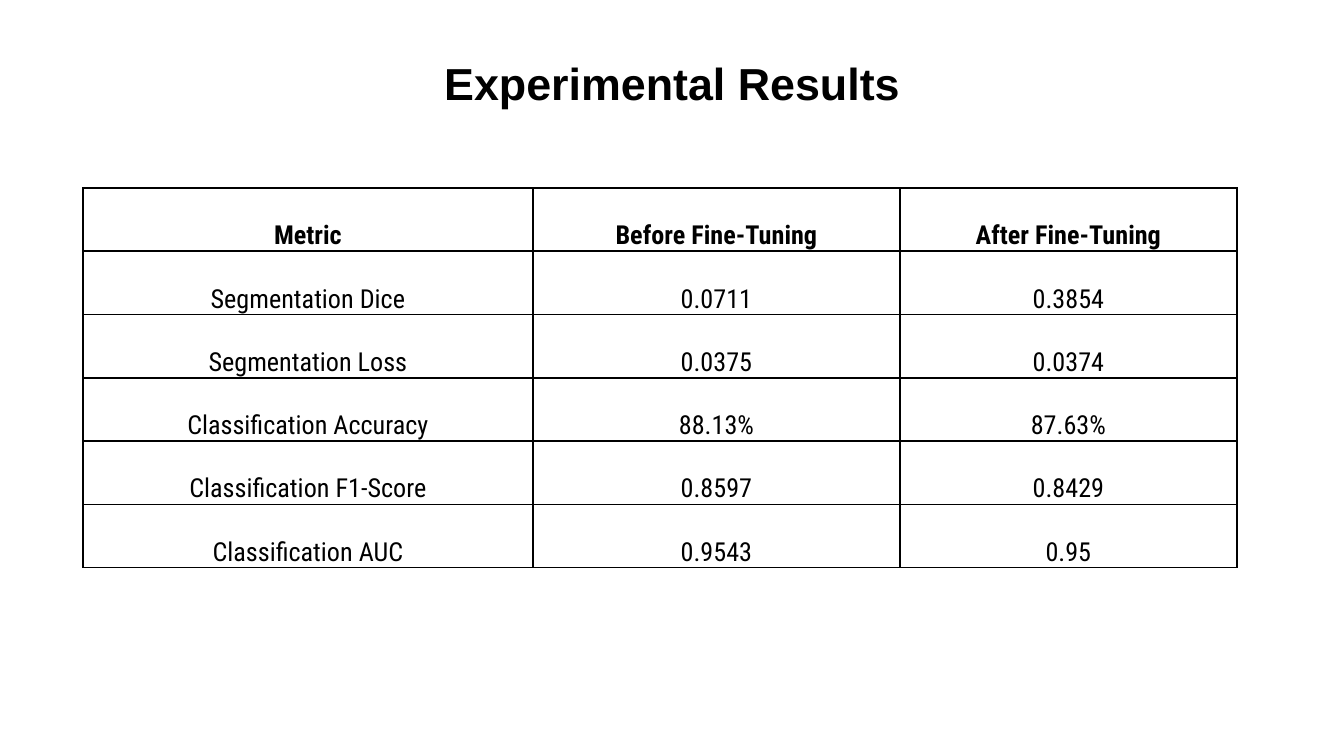
from lxml.etree import SubElement
from pptx import Presentation
from pptx.dml.color import RGBColor
from pptx.enum.text import MSO_ANCHOR as Anchor, PP_ALIGN as Align
from pptx.oxml.ns import qn
from pptx.util import Pt

BLACK = RGBColor(0x00, 0x00, 0x00)
WHITE = RGBColor(0xFF, 0xFF, 0xFF)

EMU_PER_PX = 914400 / 134.4
SLIDE_SIZE = (1344, 756)
TITLE_ONLY = 5

RESULTS = [
    ("Metric", "Before Fine-Tuning", "After Fine-Tuning"),
    ("Segmentation Dice", "0.0711", "0.3854"),
    ("Segmentation Loss", "0.0375", "0.0374"),
    ("Classification Accuracy", "88.13%", "87.63%"),
    ("Classification F1-Score", "0.8597", "0.8429"),
    ("Classification AUC", "0.9543", "0.95"),
]


def px(length):
    return round(length * EMU_PER_PX)


def apply(target, values):
    for name, value in values.items():
        setattr(target, name, value)


class SlideWriter:
    """Holds the style and the current slide."""

    title_font = {"name": "Arial", "size": Pt(24), "bold": True}
    cell_font = {"name": "Roboto Condensed", "size": Pt(14)}
    title_para = {"alignment": Align.CENTER}
    cell_para = {"alignment": Align.CENTER, "line_spacing": 1.07,
                 "space_before": Pt(0), "space_after": Pt(8)}
    cell_box = {"vertical_anchor": Anchor.BOTTOM,
                "margin_left": px(9), "margin_right": px(9),
                "margin_top": 0, "margin_bottom": 0}
    border_width = Pt(1)

    def __init__(self, deck):
        self.slide = deck.slides.add_slide(deck.slide_layouts[TITLE_ONLY])
        fill = self.slide.background.fill
        fill.solid()
        fill.fore_color.rgb = WHITE

    def text(self, frame, words, para_format, font_format):
        para = frame.paragraphs[0]
        apply(para, para_format)
        span = para.add_run()
        span.text = words
        apply(span.font, font_format)
        span.font.color.rgb = BLACK

    def title(self, words, left, top, width, height):
        box = self.slide.shapes.title
        apply(box, {"left": px(left), "top": px(top),
                    "width": px(width), "height": px(height)})
        box.text_frame.vertical_anchor = Anchor.MIDDLE
        self.text(box.text_frame, words, self.title_para, self.title_font)

    def borders(self, cell):
        properties = cell._tc.get_or_add_tcPr()
        for position, side in enumerate(("lnL", "lnR", "lnT", "lnB")):
            line = SubElement(properties, qn(f"a:{side}"), w=str(self.border_width))
            fill = SubElement(line, qn("a:solidFill"))
            SubElement(fill, qn("a:srgbClr"), val=str(BLACK))
            properties.insert(position, line)

    def table(self, rows, left, top, column_widths, height):
        frame = self.slide.shapes.add_table(
            len(rows), len(column_widths), px(left), px(top),
            px(sum(column_widths)), px(height))
        table = frame.table
        apply(table, {"first_row": False, "horz_banding": False})
        for column, width in zip(table.columns, column_widths):
            column.width = px(width)
        for row_index, words_in_row in enumerate(rows):
            table.rows[row_index].height = px(height / len(rows))
            font_format = {**self.cell_font, "bold": row_index == 0}
            for cell, words in zip(table.rows[row_index].cells, words_in_row):
                apply(cell, self.cell_box)
                cell.fill.background()
                self.borders(cell)
                self.text(cell.text_frame, words, self.cell_para, font_format)


def main():
    deck = Presentation()
    deck.slide_width, deck.slide_height = map(px, SLIDE_SIZE)
    page = SlideWriter(deck)

    # Heading
    page.title("Experimental Results", 67, 19, 1210, 127)

    # Metrics before and after fine-tuning
    page.table(RESULTS, 83, 188, (450, 367, 337), 380)

    deck.save("out.pptx")


if __name__ == "__main__":
    main()
